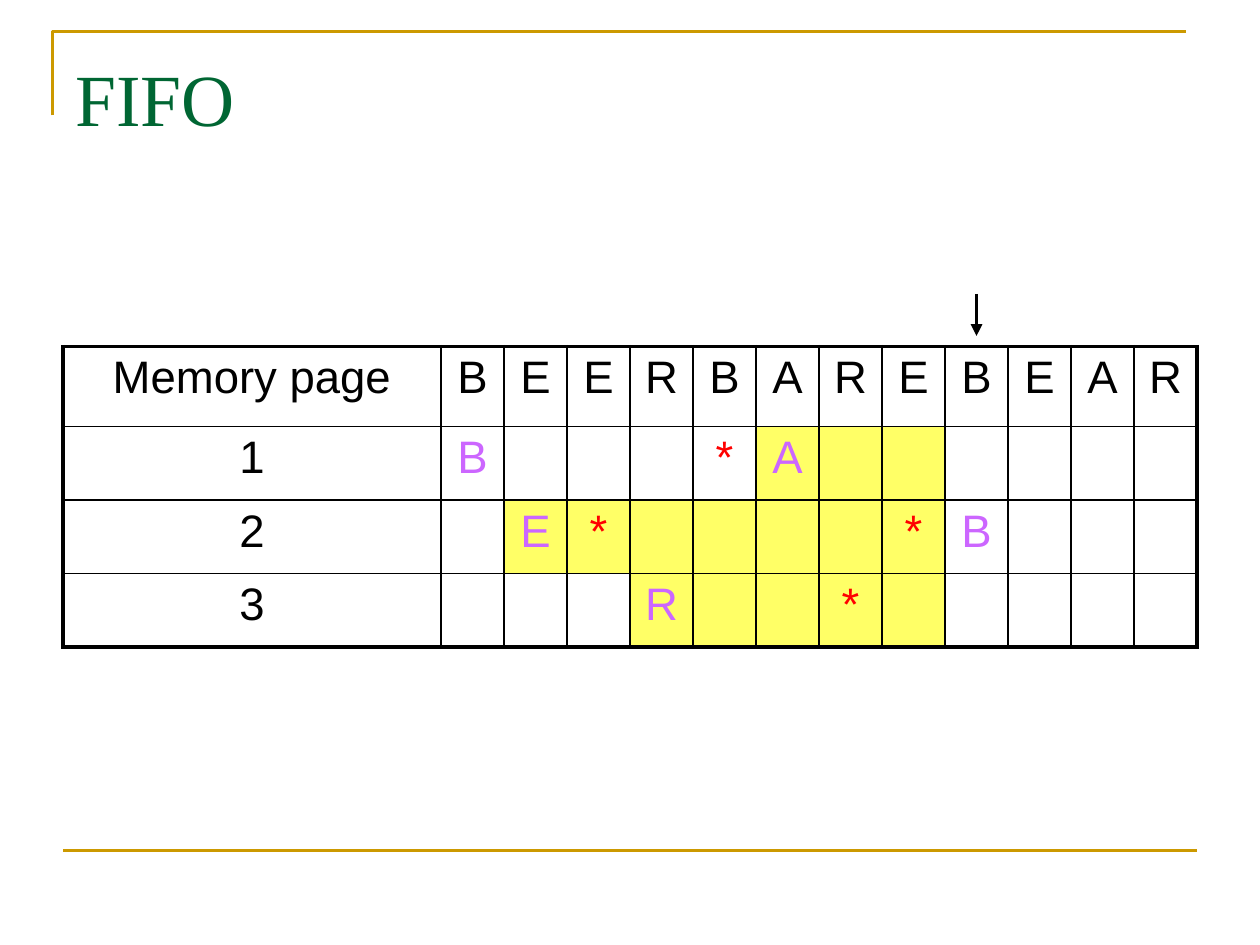
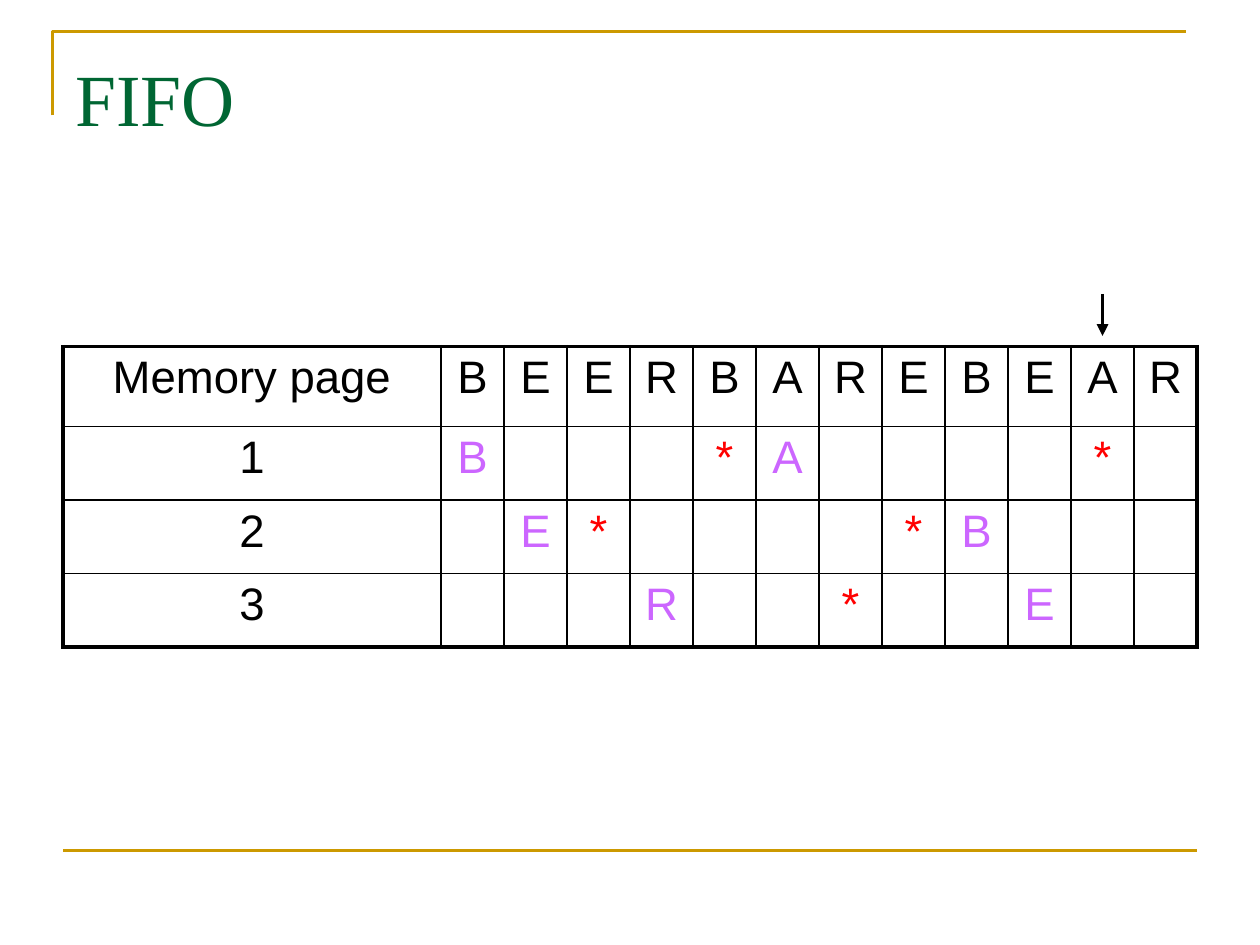
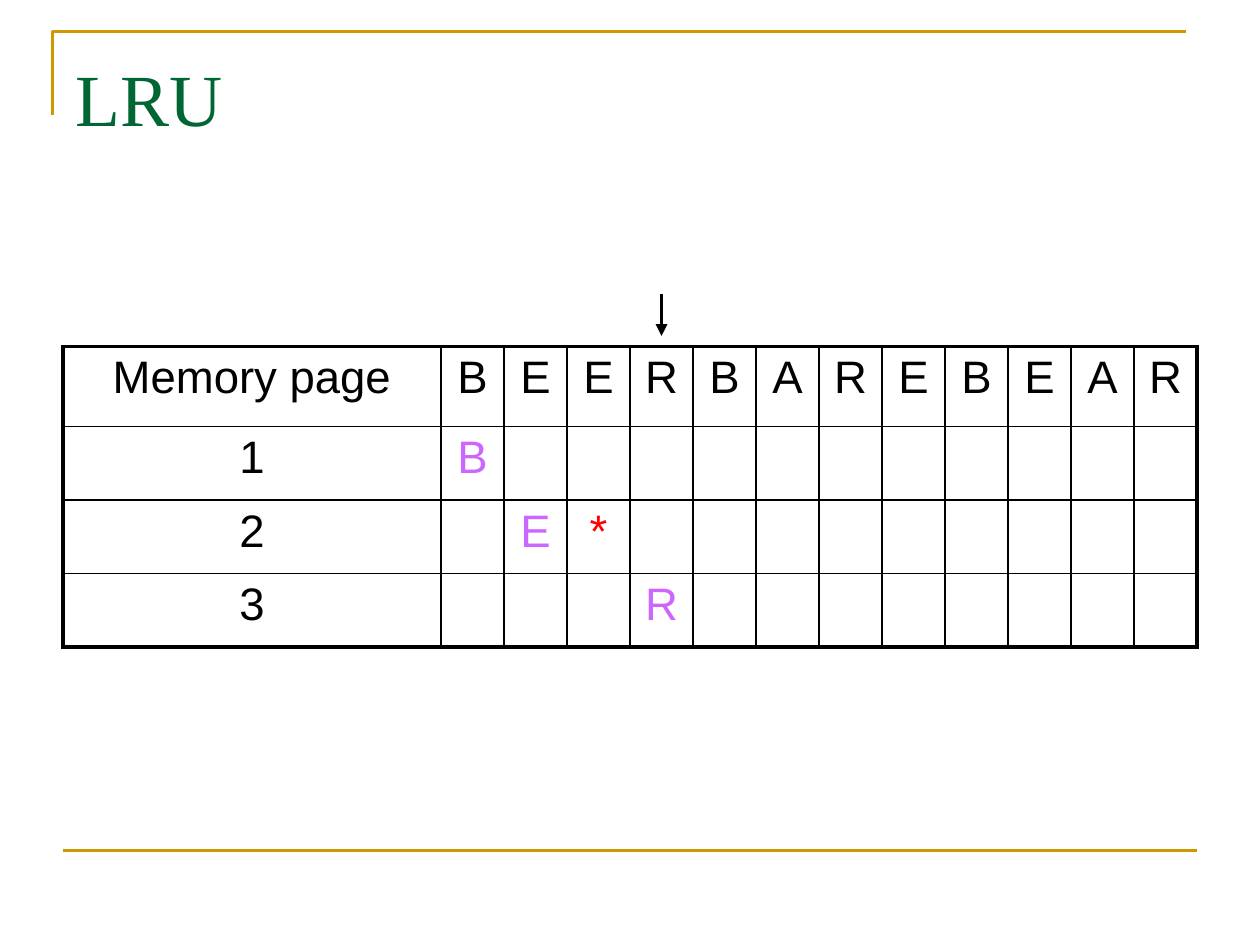
from lxml.etree import SubElement
from pptx import Presentation
from pptx.dml.color import RGBColor
from pptx.enum.shapes import MSO_CONNECTOR
from pptx.enum.text import MSO_ANCHOR, MSO_AUTO_SIZE, PP_ALIGN
from pptx.oxml.ns import qn
from pptx.util import Pt

PX = 9525  # EMU per px, 96 px to the inch

BLACK = RGBColor(0x00, 0x00, 0x00)
WHITE = RGBColor(0xFF, 0xFF, 0xFF)
GOLD = RGBColor(0xCC, 0x99, 0x00)
GREEN = RGBColor(0x00, 0x66, 0x33)
PURPLE = RGBColor(0xCC, 0x66, 0xFF)
RED = RGBColor(0xFF, 0x00, 0x00)
YELLOW = RGBColor(0xFF, 0xFF, 0x66)

TITLE_FONT = "Times New Roman"
TABLE_FONT = "Arial"

REFERENCES = "BEERBAREBEAR"
TABLE_LEFT, TABLE_TOP = 48, 264
LABEL_WIDTH, STEP_WIDTH = 288, 48
HEADER_HEIGHT, PAGE_HEIGHT = 61, 56
THIN, THICK = 1, 2.25


def add_line(slide, start, end, color, width):
    line = slide.shapes.add_connector(
        MSO_CONNECTOR.STRAIGHT, *(value * PX for value in (*start, *end)))
    line.line.color.rgb = color
    line.line.width = Pt(width)
    SubElement(line._element.spPr, qn("a:effectLst"))
    return line


def add_frame(slide):
    """Draw the gold corner around the title and the rule at the foot."""
    builder = slide.shapes.build_freeform(40, 88, scale=PX)
    builder.add_line_segments([(40, 24), (904, 24)], close=False)
    corner = builder.convert_to_shape()
    corner.fill.background()
    corner.line.color.rgb = GOLD
    corner.line.width = Pt(1.5)
    corner.shadow.inherit = False
    add_line(slide, (48, 648), (912, 648), GOLD, 1.5)


def set_title(slide, text):
    title = slide.shapes.title
    title.left, title.top, title.width, title.height = (
        value * PX for value in (48, 29, 864, 120))
    frame = title.text_frame
    frame.text = text
    frame.auto_size = MSO_AUTO_SIZE.NONE
    frame.vertical_anchor = MSO_ANCHOR.TOP
    frame.margin_top = 11 * PX
    paragraph = frame.paragraphs[0]
    paragraph.alignment = PP_ALIGN.LEFT
    paragraph.font.name = TITLE_FONT
    paragraph.font.size = Pt(42)
    paragraph.font.color.rgb = GREEN


def set_borders(cell, widths):
    """Draw black borders; widths maps the sides L, R, T and B to points."""
    properties = cell._tc.get_or_add_tcPr()
    for side, width in widths.items():
        border = SubElement(properties, qn(f"a:ln{side}"), w=str(Pt(width)))
        fill = SubElement(border, qn("a:solidFill"))
        SubElement(fill, qn("a:srgbClr"), val=str(BLACK))


def write_cell(cell, text, color):
    cell.text = text
    paragraph = cell.text_frame.paragraphs[0]
    paragraph.alignment = PP_ALIGN.CENTER
    paragraph.font.name = TABLE_FONT
    paragraph.font.size = Pt(26)
    paragraph.font.color.rgb = color


def mark_color(row, column, text):
    if row == 0 or column == 0:
        return BLACK
    return RED if text == "*" else PURPLE


def add_memory_table(slide, pages, current_step, highlight_starts):
    """Fill one row per page; a dot in a page string is an empty cell.

    Each page is highlighted from its start step up to the current step.
    """
    rows = [["Memory page", *REFERENCES]]
    rows += [[str(number), *page.replace(".", " ")]
             for number, page in enumerate(pages, 1)]
    widths = [LABEL_WIDTH] + [STEP_WIDTH] * len(REFERENCES)
    heights = [HEADER_HEIGHT] + [PAGE_HEIGHT] * len(pages)
    table = slide.shapes.add_table(
        len(rows), len(widths), TABLE_LEFT * PX, TABLE_TOP * PX,
        sum(widths) * PX, sum(heights) * PX).table
    table.first_row = table.horz_banding = False
    for column, width in zip(table.columns, widths):
        column.width = width * PX
    for row, height in zip(table.rows, heights):
        row.height = height * PX

    last_row, last_column = len(rows) - 1, len(widths) - 1
    for row, texts in enumerate(rows):
        for column, text in enumerate(texts):
            cell = table.cell(row, column)
            set_borders(cell, {
                "L": THICK if column == 0 else THIN,
                "R": THICK if column == last_column else THIN,
                "T": THICK if row == 0 else THIN,
                "B": THICK if row == last_row else THIN,
            })
            highlighted = (row > 0 and highlight_starts
                           and highlight_starts[row - 1] <= column < current_step)
            cell.fill.solid()
            cell.fill.fore_color.rgb = YELLOW if highlighted else WHITE
            if text.strip():
                write_cell(cell, text, mark_color(row, column, text))


def add_step_arrow(slide, step):
    x = TABLE_LEFT + LABEL_WIDTH + step * STEP_WIDTH - STEP_WIDTH // 2
    arrow = add_line(slide, (x, 224), (x, 256), BLACK, 2.25)
    SubElement(arrow.line._get_or_add_ln(), qn("a:tailEnd"), type="triangle")


def add_paging_slide(presentation, title, pages, current_step, highlight_starts=()):
    slide = presentation.slides.add_slide(presentation.slide_layouts[5])
    add_frame(slide)
    set_title(slide, title)
    add_memory_table(slide, pages, current_step, highlight_starts)
    add_step_arrow(slide, current_step)


def main():
    presentation = Presentation()
    presentation.slide_width = 960 * PX
    presentation.slide_height = 720 * PX
    add_paging_slide(presentation, "FIFO", (
        "B...*A......",
        ".E*....*B...",
        "...R..*.....",
    ), 9, highlight_starts=(6, 2, 4))
    add_paging_slide(presentation, "FIFO", (
        "B...*A....*.",
        ".E*....*B...",
        "...R..*..E..",
    ), 11)
    add_paging_slide(presentation, "LRU", (
        "B...........",
        ".E*.........",
        "...R........",
    ), 4)
    presentation.save("out.pptx")


if __name__ == "__main__":
    main()
